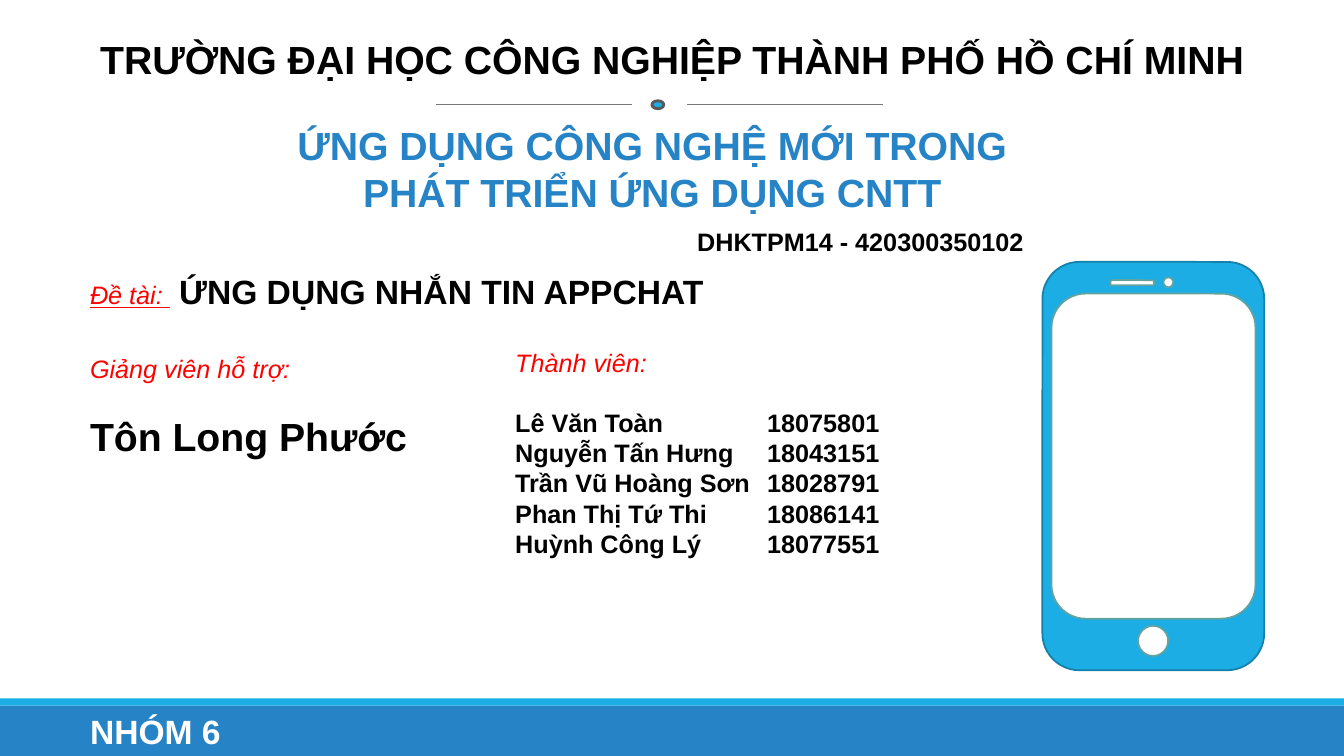
from lxml import etree
from pptx import Presentation
from pptx import util as u
from pptx.dml.color import RGBColor
from pptx.enum import shapes, text
from pptx.oxml import ns

BLACK = RGBColor(0x00, 0x00, 0x00)
WHITE = RGBColor(0xFF, 0xFF, 0xFF)
RED = RGBColor(0xFF, 0x00, 0x00)
BLUE = RGBColor(0x26, 0x83, 0xC6)
CYAN = RGBColor(0x1C, 0xAD, 0xE4)
DARK_CYAN = RGBColor(0x15, 0x80, 0xA9)
SAGE = RGBColor(0x62, 0xA3, 0x9F)
GRAY = RGBColor(0x75, 0x77, 0x7B)
DARK_GRAY = RGBColor(0x58, 0x59, 0x5B)

RECTANGLE = shapes.MSO_SHAPE.RECTANGLE
ROUNDED = shapes.MSO_SHAPE.ROUNDED_RECTANGLE
OVAL = shapes.MSO_SHAPE.OVAL


def write(paragraph, words, size=18, color=BLACK, bold=True, italic=False,
          underline=False, align=text.PP_ALIGN.LEFT, space_after=0):
    paragraph.alignment = align
    paragraph.space_before = u.Pt(0)
    paragraph.space_after = u.Pt(space_after)
    run = paragraph.add_run()
    run.text = words
    run.font.name = "Arial"
    run.font.size = u.Pt(size)
    run.font.color.rgb = color
    run.font.bold = bold
    run.font.italic = italic
    run.font.underline = underline


def draw(parent, kind, box, fill, line=None, line_width=1.25):
    shape = parent.add_shape(kind, *[u.Cm(length) for length in box])
    shape.shadow.inherit = False
    shape.fill.solid()
    shape.fill.fore_color.rgb = fill
    if line is None:
        shape.line.fill.background()
    else:
        shape.line.color.rgb = line
        shape.line.width = u.Pt(line_width)
    return shape


presentation = Presentation()
presentation.slide_width = u.Cm(33.87)
presentation.slide_height = u.Cm(19.05)
slide = presentation.slides.add_slide(presentation.slide_layouts[1])

team_bar = draw(slide.shapes, RECTANGLE, (0, 17.78, 33.87, 1.27), BLUE)
team_bar.text_frame.margin_left = u.Cm(2.27)
write(team_bar.text_frame.paragraphs[0], "NHÓM 6", size=24, color=WHITE)
draw(slide.shapes, RECTANGLE, (0, 17.6, 33.87, 0.18), CYAN)

for left in (11, 17.32):
    connector = slide.shapes.add_connector(
        shapes.MSO_CONNECTOR.STRAIGHT,
        u.Cm(left), u.Cm(2.64), u.Cm(left + 4.93), u.Cm(2.64))
    connector.line.color.rgb = GRAY
    connector.line.width = u.Pt(0.75)
    etree.SubElement(connector._element.spPr, ns.qn("a:effectLst"))
draw(slide.shapes, OVAL, (16.43, 2.54, 0.3, 0.2), CYAN, DARK_GRAY, 2)

phone = slide.shapes.add_group_shape()
draw(phone.shapes, ROUNDED, (26.27, 6.6, 5.59, 10.29), CYAN, DARK_CYAN)
phone_details = [
    (OVAL, (28.68, 15.77, 0.76, 0.76)),
    (ROUNDED, (27.99, 7.06, 1.09, 0.13)),
    (OVAL, (29.32, 6.99, 0.25, 0.25)),
    (ROUNDED, (26.5, 7.4, 5.14, 8.19)),
]
for kind, box in phone_details:
    draw(phone.shapes, kind, box, WHITE, SAGE)

boxes = {
    "title": (2.01, 0.76, 29.85, 2.64),
    "members": (12.73, 8.63, 12.24, 5.64),
    "subject": (5.87, 2.93, 21.13, 2.64),
    "class code": (17.32, 5.58, 9.86, 1.02),
    "topic": (2.02, 6.71, 16.23, 1.27),
    "lecturer": (2.02, 8.77, 9.02, 3),
}
placeholders = {"title": slide.shapes.title, "members": slide.placeholders[1]}
frames = {}
for name, box in boxes.items():
    left, top, width, height = [u.Cm(length) for length in box]
    shape = placeholders.get(name)
    if shape is None:
        shape = slide.shapes.add_textbox(left, top, width, height)
    shape.left, shape.top, shape.width, shape.height = left, top, width, height
    frame = shape.text_frame
    frame.word_wrap = True
    frame.auto_size = text.MSO_AUTO_SIZE.NONE
    frame.vertical_anchor = text.MSO_ANCHOR.TOP
    frames[name] = frame

single_lines = [
    ("title", "TRƯỜNG ĐẠI HỌC CÔNG NGHIỆP THÀNH PHỐ HỒ CHÍ MINH",
     dict(size=28, align=text.PP_ALIGN.CENTER)),
    ("subject", "ỨNG DỤNG CÔNG NGHỆ MỚI TRONG PHÁT TRIỂN ỨNG DỤNG CNTT",
     dict(size=28, color=BLUE, align=text.PP_ALIGN.CENTER)),
    ("class code", "DHKTPM14 - 420300350102", {}),
    ("topic", "Đề tài: ",
     dict(color=RED, bold=False, italic=True, underline=True)),
    ("topic", " ỨNG DỤNG NHẮN TIN APPCHAT", dict(size=24)),
]
for name, words, style in single_lines:
    write(frames[name].paragraphs[0], words, **style)

label = dict(color=RED, bold=False, italic=True, space_after=21)
write(frames["lecturer"].paragraphs[0], "Giảng viên hỗ trợ:", **label)
write(frames["lecturer"].add_paragraph(), "Tôn Long Phước", size=28)

members = [
    ("Lê Văn Toàn", "18075801"),
    ("Nguyễn Tấn Hưng", "18043151"),
    ("Trần Vũ Hoàng Sơn", "18028791"),
    ("Phan Thị Tứ Thi", "18086141"),
    ("Huỳnh Công Lý", "18077551"),
]
write(frames["members"].paragraphs[0], "Thành viên:", **label)
for member, number in members:
    write(frames["members"].add_paragraph(), f"{member}\t{number}")
for paragraph in frames["members"].paragraphs:
    properties = paragraph._p.get_or_add_pPr()
    properties.set("marL", "0")
    properties.set("indent", "0")
    properties.set("defTabSz", str(u.Cm(6.35)))
    etree.SubElement(properties, ns.qn("a:buNone"))

presentation.save("out.pptx")
